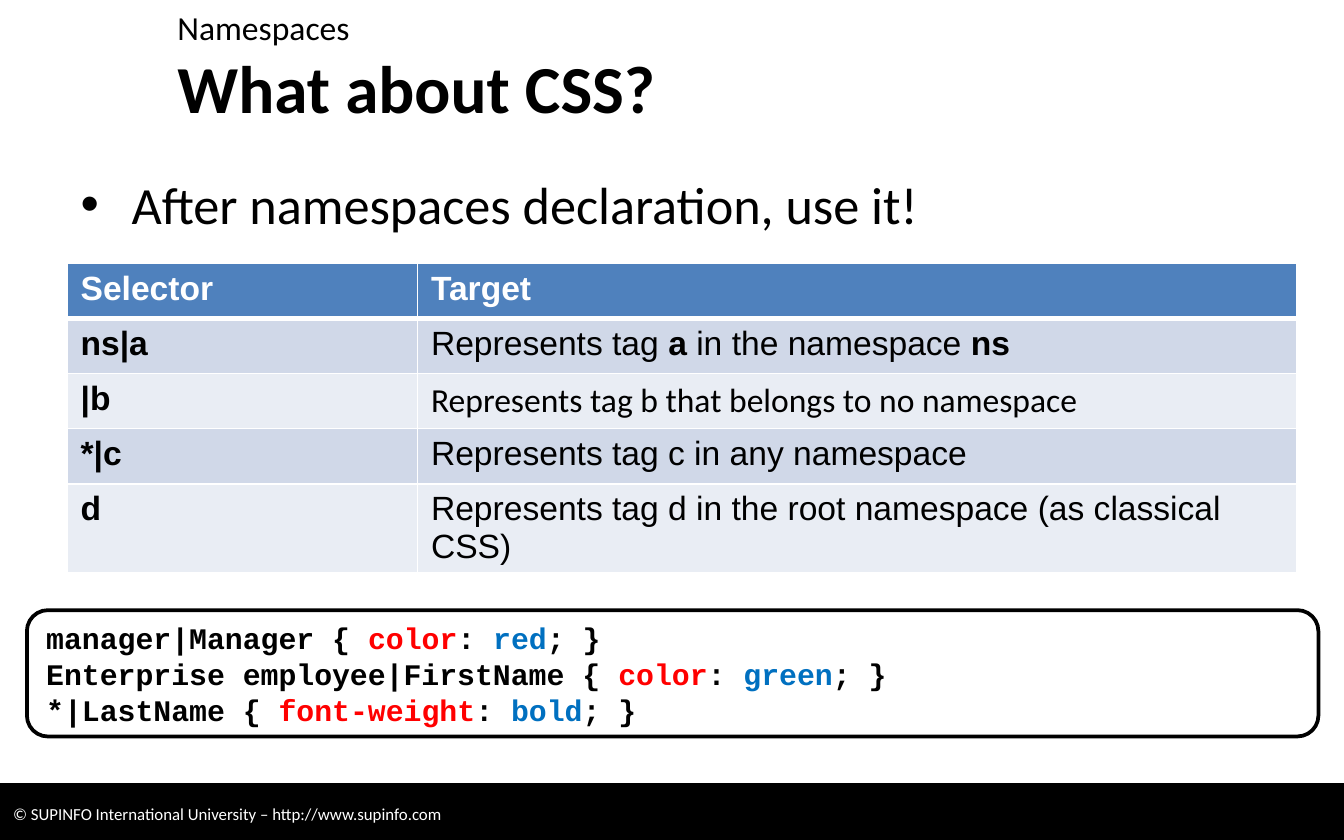
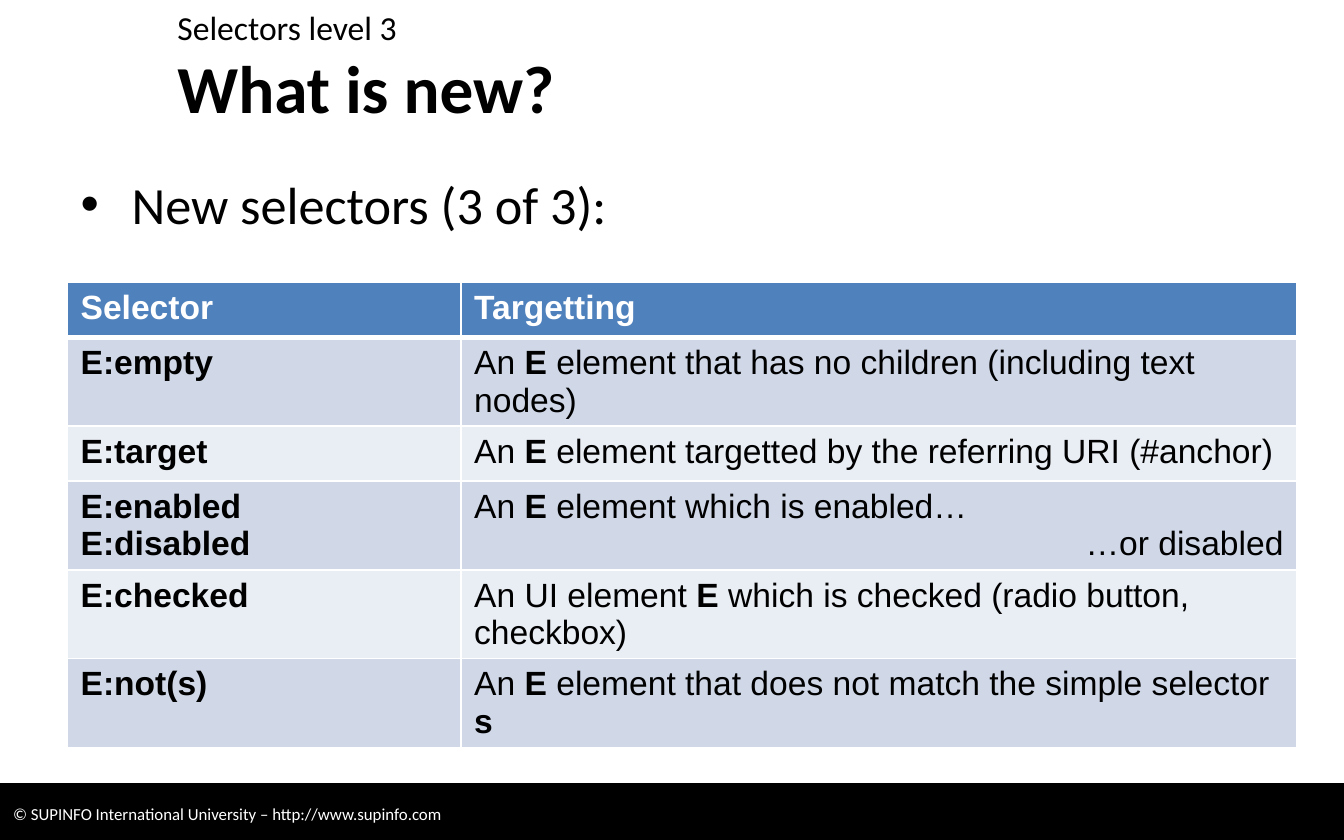
import pptx
import pptx.dml.color
import pptx.enum.shapes
import pptx.enum.text
import pptx.oxml
import pptx.oxml.ns
import pptx.util

Inches, Pt = pptx.util.Inches, pptx.util.Pt
RGBColor = pptx.dml.color.RGBColor
ALIGN, ANCHOR = pptx.enum.text.PP_ALIGN, pptx.enum.text.MSO_ANCHOR
SHAPE = pptx.enum.shapes.MSO_SHAPE

BLACK = RGBColor(0x00, 0x00, 0x00)
WHITE = RGBColor(0xFF, 0xFF, 0xFF)
HEADER_BLUE = RGBColor(0x4F, 0x81, 0xBD)
BAND_FILLS = (RGBColor(0xE9, 0xED, 0xF4), RGBColor(0xD0, 0xD8, 0xE8))
PROPERTY_RED = RGBColor(0xFF, 0x00, 0x00)
VALUE_BLUE = RGBColor(0x00, 0x70, 0xC0)

# Table text: ** switches bold; a tuple holds paragraphs, the later ones right-aligned.
PAGES = [
    {
        "section": "Namespaces",
        "title": "What about CSS?",
        "bullet": "After namespaces declaration, use it!",
        "table_top": 1.96,
        "selector_share": 0.285,
        "rows": [
            ("Selector", "Target"),
            ("ns|a", "Represents tag **a** in the namespace **ns**"),
            ("|b", "Represents tag b that belongs to no namespace"),
            ("*|c", "Represents tag c in any namespace"),
            ("d", "Represents tag d in the root namespace (as classical CSS)"),
        ],
        "cell_fonts": {(2, 1): "Calibri"},
        "code": [
            ("manager|Manager", "color", "red"),
            ("Enterprise employee|FirstName", "color", "green"),
            ("*|LastName", "font-weight", "bold"),
        ],
    },
    {
        "section": "Selectors level 3",
        "title": "What is new?",
        "bullet": "New selectors (3 of 3):",
        "table_top": 2.1,
        "selector_share": 0.32,
        "rows": [
            ("Selector", "Targetting"),
            ("E:empty", "An **E** element that has no children (including text nodes)"),
            ("E:target", "An **E** element targetted by the referring URI (#anchor)"),
            ("E:enabled\nE:disabled", ("An **E** element which is enabled…", "…or disabled")),
            ("E:checked", "An UI element **E **which is checked (radio button, checkbox)"),
            ("E:not(s)", "An **E **element that does not match the simple selector **s**"),
        ],
    },
]
FOOTER = "© SUPINFO International University – http://www.supinfo.com"

SLIDE_WIDTH, SLIDE_HEIGHT = 10, 6.25
TITLE_BOX = (1.22, 0.37, 8.5, 0.55)
SECTION_BOX = (1.22, 0, 8.51, 0.37)
BODY_BOX = (0.5, 1.23, 9.23, 4.63)
FOOTER_BOX = (0, 5.83, SLIDE_WIDTH, 0.45)
CODE_BOX = (0.2, 4.54, 9.61, 0.94)
TABLE_LEFT, TABLE_WIDTH, ROW_HEIGHT = 0.5, 9.15, 0.41

TITLE_FONT = {"name": "Calibri", "size": Pt(36), "bold": True}
BODY_FONT = {"name": "Calibri", "size": Pt(28), "bold": False}
SECTION_FONT = {"name": "Calibri", "size": Pt(18), "bold": False}
FOOTER_FONT = {"name": "Calibri", "size": Pt(9)}
CODE_FONT = {"name": "Courier New", "size": Pt(16), "bold": True}
TABLE_FONT = {"name": "Arial", "size": Pt(18)}


def set_all(target, values):
    for name, value in values.items():
        setattr(target, name, value)


def place(shape, box):
    set_all(shape, dict(zip(("left", "top", "width", "height"), map(Inches, box))))


def write(para, text, font, color=BLACK):
    """Add text as runs, turning each newline into a line break."""
    for index, line in enumerate(text.split("\n")):
        if index:
            para.add_line_break()
        span = para.add_run()
        span.text = line
        set_all(span.font, font)
        span.font.color.rgb = color


def fill_placeholder(shape, box, text, font, anchor, bulleted=False):
    place(shape, box)
    set_all(shape.text_frame, {
        "word_wrap": True, "vertical_anchor": anchor,
        "auto_size": pptx.enum.text.MSO_AUTO_SIZE.NONE,
    })
    para = shape.text_frame.paragraphs[0]
    if shape.placeholder_format.idx:
        indent = Inches(0.38) if bulleted else 0
        properties = para._p.get_or_add_pPr()
        properties.set("marL", str(indent))
        properties.set("indent", str(-indent))
        bullet = 'a:buChar char="•"' if bulleted else "a:buNone"
        properties.append(pptx.oxml.parse_xml(
            f"<{bullet} {pptx.oxml.ns.nsdecls('a')}/>".replace("<a:buChar char", "<a:buChar  char")))
    set_all(para, {"alignment": ALIGN.LEFT, "space_before": Pt(0)})
    write(para, text, font)


def add_panel(page, kind, box, fill, line_width):
    panel = page.shapes.add_shape(kind, *map(Inches, box))
    panel.shadow.inherit = False
    panel.fill.solid()
    panel.fill.fore_color.rgb = fill
    panel.line.color.rgb = BLACK
    panel.line.width = Pt(line_width)
    set_all(panel.text_frame, {"word_wrap": True, "vertical_anchor": ANCHOR.MIDDLE})
    return panel


def add_footer(page):
    """Draw the footer band and move it to the layout, so every slide shows it."""
    band = add_panel(page, SHAPE.RECTANGLE, FOOTER_BOX, BLACK, 0.75)
    para = band.text_frame.paragraphs[0]
    para.alignment = ALIGN.LEFT
    write(para, FOOTER, FOOTER_FONT, WHITE)
    page.slide_layout.shapes.element.append(band.element)


def add_code(page, rules):
    frame = add_panel(page, SHAPE.ROUNDED_RECTANGLE, CODE_BOX, WHITE, 2).text_frame
    for index, (selector, name, value) in enumerate(rules):
        para = frame.add_paragraph() if index else frame.paragraphs[0]
        para.alignment = ALIGN.LEFT
        for text, color in ((selector + " { ", BLACK), (name, PROPERTY_RED),
                            (": ", BLACK), (value, VALUE_BLUE), ("; }", BLACK)):
            write(para, text, CODE_FONT, color)


def set_borders(cell, row):
    """White rules, with a heavier one under the header row."""
    widths = {"L": 1, "R": 1, "T": 3 if row == 1 else 1, "B": 1 if row else 3}
    properties = cell._tc.get_or_add_tcPr()
    for position, (side, width) in enumerate(widths.items()):
        properties.insert(position, pptx.oxml.parse_xml(
            f"<a:ln{side} {pptx.oxml.ns.nsdecls('a')} w=\"{Pt(width)}\">"
            f"<a:solidFill><a:srgbClr val=\"{WHITE}\"/></a:solidFill></a:ln{side}>"))


def fill_cell(cell, row, column, content, font):
    cell.fill.solid()
    cell.fill.fore_color.rgb = BAND_FILLS[row % 2] if row else HEADER_BLUE
    set_borders(cell, row)
    strong = row == 0 or column == 0
    paragraphs = (content,) if isinstance(content, str) else content
    for index, text in enumerate(paragraphs):
        para = cell.text_frame.add_paragraph() if index else cell.text_frame.paragraphs[0]
        para.alignment = ALIGN.RIGHT if index else ALIGN.LEFT
        for order, piece in enumerate(text.split("**")):
            if piece:
                write(para, piece, {**font, "bold": strong or order % 2 == 1},
                      BLACK if row else WHITE)


def add_selector_table(page, content):
    rows = content["rows"]
    table = page.shapes.add_table(
        len(rows), 2, Inches(TABLE_LEFT), Inches(content["table_top"]),
        Inches(TABLE_WIDTH), Inches(ROW_HEIGHT * len(rows))).table
    share = content["selector_share"]
    for column, part in zip(table.columns, (share, 1 - share)):
        column.width = Inches(TABLE_WIDTH * part)
    for row, cells in enumerate(rows):
        table.rows[row].height = Inches(ROW_HEIGHT)
        for column, text in enumerate(cells):
            name = content.get("cell_fonts", {}).get((row, column), TABLE_FONT["name"])
            fill_cell(table.cell(row, column), row, column, text, {**TABLE_FONT, "name": name})


def main():
    deck = pptx.Presentation()
    deck.slide_width, deck.slide_height = Inches(SLIDE_WIDTH), Inches(SLIDE_HEIGHT)
    layout = deck.slide_layouts.get_by_name("Two Content")
    for number, content in enumerate(PAGES):
        page = deck.slides.add_slide(layout)
        if number == 0:
            add_footer(page)
        title, body, section = page.placeholders
        fill_placeholder(title, TITLE_BOX, content["title"], TITLE_FONT, ANCHOR.MIDDLE)
        fill_placeholder(body, BODY_BOX, content["bullet"], BODY_FONT, ANCHOR.TOP, bulleted=True)
        fill_placeholder(section, SECTION_BOX, content["section"], SECTION_FONT, ANCHOR.TOP)
        if "code" in content:
            add_code(page, content["code"])
        add_selector_table(page, content)
    deck.save("out.pptx")


if __name__ == "__main__":
    main()
